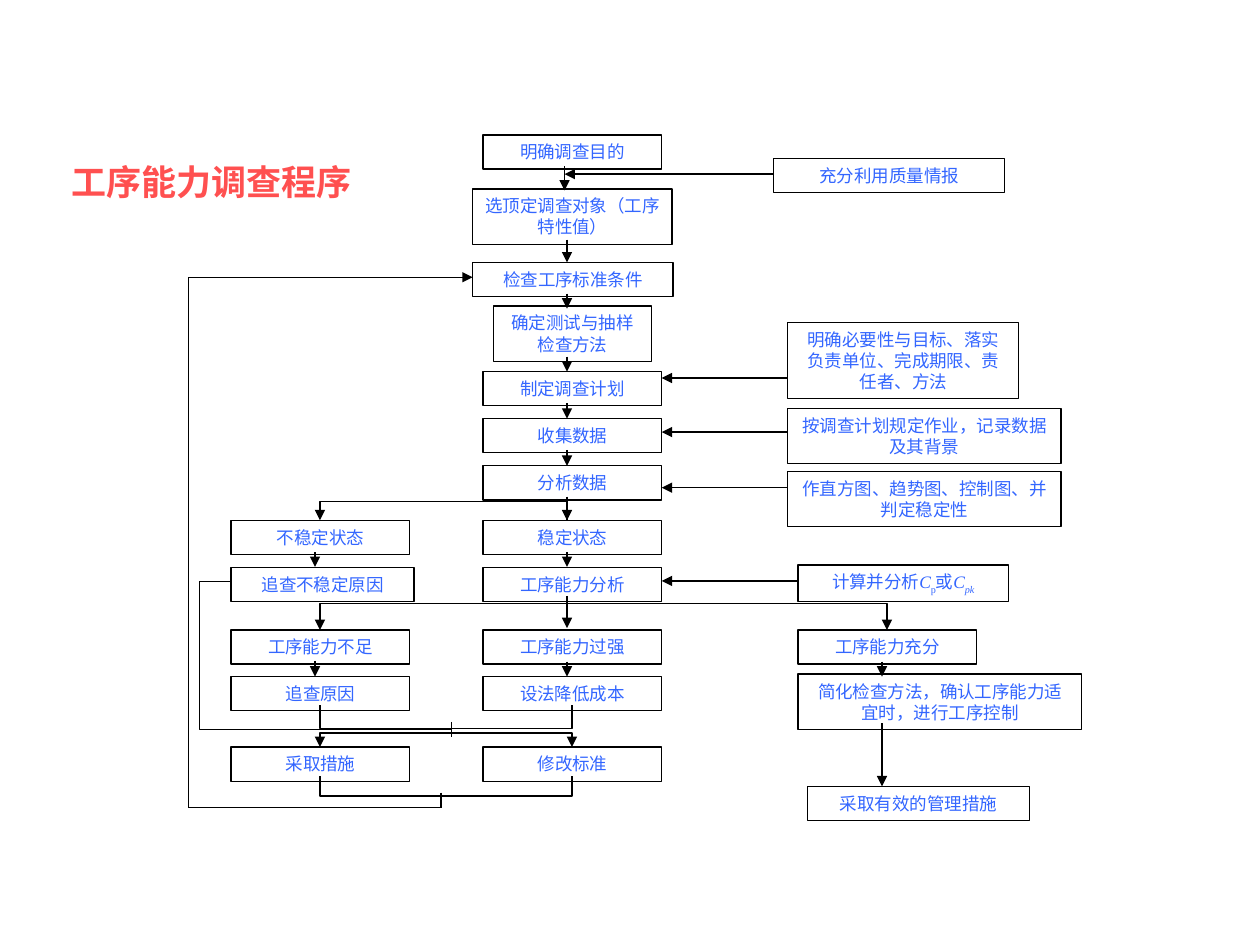
from lxml.etree import SubElement
from pptx import Presentation
from pptx.dml.color import RGBColor
from pptx.enum.shapes import MSO_CONNECTOR, MSO_SHAPE
from pptx.enum.text import MSO_ANCHOR, MSO_AUTO_SIZE, PP_ALIGN
from pptx.oxml.ns import qn
from pptx.util import Cm, Pt

LEFT, MIDDLE, RIGHT, NOTE = 4.66, 9.74, 16.09, 15.88
BOX_WIDTH = 3.6
HEIGHTS = {1: 0.69, 2: 1.12, 3: 1.53}
LEFT_AXIS, MIDDLE_AXIS, RIGHT_AXIS = 6.35, 11.43, 17.78
LEFT_BEND, MIDDLE_BEND, RIGHT_BEND = 6.45, 11.53, 17.88
BOX_EDGE = 13.34

# left, top, width, text lines, text
BOXES = [
    (MIDDLE, 2.72, BOX_WIDTH, 1, "明确调查目的"),
    (9.53, 3.81, 4.02, 2, "选顶定调查对象（工序特性值）"),
    (9.53, 5.29, 4.04, 1, "检查工序标准条件"),
    (9.95, 6.17, 3.18, 2, "确定测试与抽样检查方法"),
    (MIDDLE, 7.49, BOX_WIDTH, 1, "制定调查计划"),
    (MIDDLE, 8.44, BOX_WIDTH, 1, "收集数据"),
    (MIDDLE, 9.39, BOX_WIDTH, 1, "分析数据"),
    (MIDDLE, 10.49, BOX_WIDTH, 1, "稳定状态"),
    (MIDDLE, 11.44, BOX_WIDTH, 1, "工序能力分析"),
    (MIDDLE, 12.7, BOX_WIDTH, 1, "工序能力过强"),
    (MIDDLE, 13.64, BOX_WIDTH, 1, "设法降低成本"),
    (MIDDLE, 15.06, BOX_WIDTH, 1, "修改标准"),
    (LEFT, 10.49, BOX_WIDTH, 1, "不稳定状态"),
    (LEFT, 11.44, 3.69, 1, "追查不稳定原因"),
    (LEFT, 12.7, BOX_WIDTH, 1, "工序能力不足"),
    (LEFT, 13.64, BOX_WIDTH, 1, "追查原因"),
    (LEFT, 15.06, BOX_WIDTH, 1, "采取措施"),
    (15.6, 3.19, 4.65, 1, "充分利用质量情报"),
    (NOTE, 6.5, 4.66, 3, "明确必要性与目标、落实负责单位、完成期限、责任者、方法"),
    (NOTE, 8.23, 5.51, 2, "按调查计划规定作业，记录数据及其背景"),
    (NOTE, 9.5, 5.51, 2, "作直方图、趋势图、控制图、并判定稳定性"),
    (RIGHT, 12.7, BOX_WIDTH, 1, "工序能力充分"),
    (RIGHT, 13.59, 5.72, 2, "简化检查方法，确认工序能力适宜时，进行工序控制"),
    (16.28, 15.85, 4.47, 1, "采取有效的管理措施"),
]

ITALIC, SUBSCRIPT = {"italic": True}, {"subscript": True}
INDEX_RUNS = [("计算并分析", {}), ("C", ITALIC), ("p", SUBSCRIPT),
              ("或", {}), ("C", ITALIC), ("pk", ITALIC | SUBSCRIPT)]

# axis: (top, bottom) of each downward arrow
DOWN_ARROWS = {
    11.38: [(3.35, 3.84)],
    MIDDLE_AXIS: [(4.83, 5.29), (5.92, 6.22), (7.19, 7.49), (8.13, 8.44),
                  (9.07, 9.39), (10.01, 10.49), (11.13, 11.43),
                  (12.01, 12.66), (13.34, 13.64)],
    LEFT_AXIS: [(11.13, 11.43), (13.32, 13.64)],
    RIGHT_AXIS: [(13.34, 13.64), (14.58, 15.85)],
}

# start x, end x, y of each arrow from a note
NOTE_ARROWS = [(15.6, 11.38, 3.51), (NOTE, BOX_EDGE, 7.62),
               (NOTE, BOX_EDGE, 8.71), (NOTE, BOX_EDGE, 9.83),
               (RIGHT, BOX_EDGE, 11.71)]

# left x, right x, end y, crossbar y, arrowheads
BRACKETS = [
    (LEFT_BEND, MIDDLE_BEND, 14.22, 14.68, ()),
    (LEFT_BEND, MIDDLE_BEND, 15.06, 14.78, ("headEnd", "tailEnd")),
    (LEFT_BEND, MIDDLE_BEND, 15.65, 16.05, ()),
    (LEFT_BEND, RIGHT_BEND, 12.7, 12.17, ("headEnd", "tailEnd")),
    (LEFT_BEND, MIDDLE_AXIS, 10.49, 10.11, ("headEnd",)),
]


def color(value):
    return RGBColor.from_string(value)


class FlowSlide:
    title_format = {"name": "Arial", "size": Pt(20), "bold": True}
    box_format = {"name": "Times New Roman", "size": Pt(10)}
    frame_format = {"word_wrap": True, "margin_left": Cm(0.25),
                    "margin_right": Cm(0.25), "margin_top": Cm(0.13),
                    "margin_bottom": Cm(0.13)}
    title_color, text_color, line_color = "FF5050", "3366FF", "000000"
    line_width = Pt(0.75)

    def __init__(self, presentation):
        self.slide = presentation.slides.add_slide(presentation.slide_layouts[5])

    def apply(self, target, values):
        for name, value in values.items():
            setattr(target, name, value)

    def fill_text(self, frame, runs, font_format, font_color):
        self.apply(frame, self.frame_format)
        paragraph = frame.paragraphs[0]
        paragraph.alignment = PP_ALIGN.CENTER
        for text, extras in runs:
            run = paragraph.add_run()
            run.text = text
            self.apply(run.font, font_format)
            run.font.color.rgb = color(font_color)
            run.font.italic = extras.get("italic")
            if extras.get("subscript"):
                run._r.get_or_add_rPr().set("baseline", "-25000")

    def title(self, text, left, top, width, height):
        shape = self.slide.shapes.title
        self.apply(shape, {"left": Cm(left), "top": Cm(top),
                           "width": Cm(width), "height": Cm(height)})
        frame = shape.text_frame
        frame.vertical_anchor = MSO_ANCHOR.MIDDLE
        frame.auto_size = MSO_AUTO_SIZE.NONE
        self.fill_text(frame, [(text, {})], self.title_format, self.title_color)

    def outline(self, shape, arrowheads=()):
        shape.line.color.rgb = color(self.line_color)
        shape.line.width = self.line_width
        line = shape.line._get_or_add_ln()
        for end in arrowheads:
            SubElement(line, qn(f"a:{end}"), type="triangle")

    def box(self, left, top, width, height, runs):
        shape = self.slide.shapes.add_shape(
            MSO_SHAPE.RECTANGLE, Cm(left), Cm(top), Cm(width), Cm(height))
        shape.shadow.inherit = False
        shape.fill.background()
        self.outline(shape)
        frame = shape.text_frame
        frame.vertical_anchor = MSO_ANCHOR.TOP
        frame.auto_size = MSO_AUTO_SIZE.SHAPE_TO_FIT_TEXT
        self.fill_text(frame, runs, self.box_format, self.text_color)

    def line(self, start, end, arrowheads=()):
        connector = self.slide.shapes.add_connector(
            MSO_CONNECTOR.STRAIGHT, *map(Cm, start + end))
        self.outline(connector, arrowheads)
        SubElement(connector._element.spPr, qn("a:effectLst"))

    def route(self, points, arrowheads=()):
        """Draw an open line that bends at each inner point."""
        start, *others = [(Cm(x), Cm(y)) for x, y in points]
        builder = self.slide.shapes.build_freeform(*start)
        builder.add_line_segments(others, close=False)
        shape = builder.convert_to_shape()
        shape.shadow.inherit = False
        shape.fill.background()
        self.outline(shape, arrowheads)


def main():
    presentation = Presentation()
    presentation.slide_width, presentation.slide_height = Cm(25.4), Cm(19.05)
    flow = FlowSlide(presentation)
    flow.title("工序能力调查程序", 1.09, 3.12, 6.35, 1.07)

    for left, top, width, lines, text in BOXES:
        flow.box(left, top, width, HEIGHTS[lines], [(text, {})])
    flow.box(RIGHT, 11.39, 4.24, 0.74, INDEX_RUNS)

    for axis, spans in DOWN_ARROWS.items():
        for top, bottom in spans:
            flow.line((axis, top), (axis, bottom), ("tailEnd",))
    for start, end, y in NOTE_ARROWS:
        flow.line((start, y), (end, y), ("tailEnd",))

    for left, right, end, crossbar, arrowheads in BRACKETS:
        flow.route([(left, end), (left, crossbar), (right, crossbar),
                    (right, end)], arrowheads)

    flow.route([(LEFT, 11.73), (4.02, 11.73), (4.02, 14.71), (9.1, 14.71)])
    flow.line((9.1, 14.55), (9.1, 14.86))
    flow.line((8.89, 15.98), (8.89, 16.28))
    flow.line((8.89, 16.28), (3.8, 16.28))
    flow.route([(3.8, 16.28), (3.8, 5.59), (9.53, 5.59)], ("tailEnd",))

    presentation.save("out.pptx")


if __name__ == "__main__":
    main()
